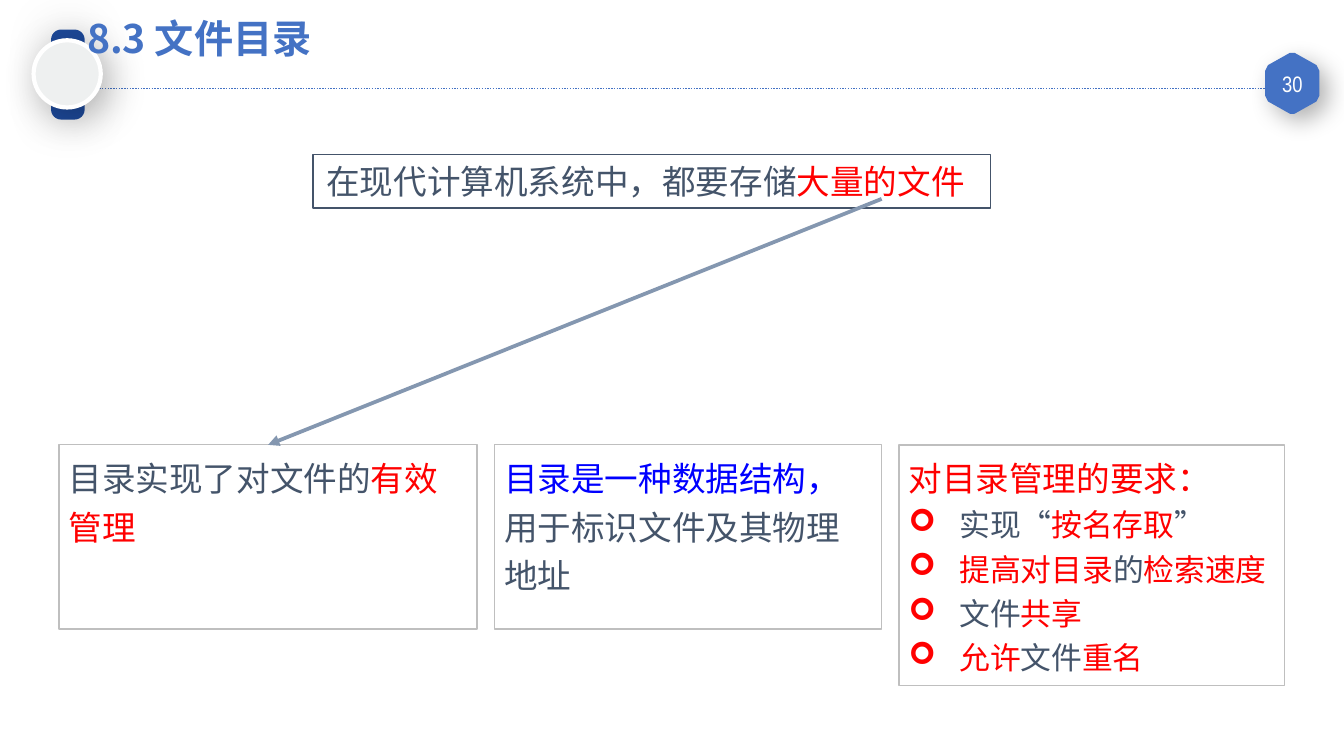
from dataclasses import dataclass
from lxml import etree
from pptx import Presentation
from pptx.dml.color import RGBColor
from pptx.enum.dml import MSO_LINE
from pptx.enum.shapes import MSO_CONNECTOR, MSO_SHAPE
from pptx.enum.text import MSO_ANCHOR, PP_ALIGN
from pptx.oxml.ns import qn
from pptx.util import Inches, Pt

RECT, ROUND, OVAL = MSO_SHAPE.RECTANGLE, MSO_SHAPE.ROUNDED_RECTANGLE, MSO_SHAPE.OVAL
STRAIGHT, DOTS = MSO_CONNECTOR.STRAIGHT, MSO_LINE.ROUND_DOT
TOP, MIDDLE = MSO_ANCHOR.TOP, MSO_ANCHOR.MIDDLE
LEFT, CENTER = PP_ALIGN.LEFT, PP_ALIGN.CENTER


@dataclass(frozen=True)
class Theme:
    blue: str = "4472C4"
    navy: str = "1D4999"
    pale: str = "EEF0F0"
    white: str = "FFFFFF"
    edge: str = "BFBFBF"
    slate: str = "44546A"
    steel: str = "8497B0"
    red: str = "FF0000"
    bright: str = "0000FF"
    font: str = "Noto Sans CJK SC"
    latin: str = "Roboto"
    narrow: str = "Arial Narrow"
    symbol: str = "Wingdings"
    title: float = 21
    body: float = 18
    item: float = 16.5
    number: float = 12


def rgb(code):
    return RGBColor.from_string(code)


class Page:
    def __init__(self, slide, theme):
        self.shapes, self.theme = slide.shapes, theme

    def paint(self, shape, fill=None, line=None, width=0.75):
        shape.shadow.inherit = False
        if fill:
            shape.fill.solid()
            shape.fill.fore_color.rgb = rgb(fill)
        else:
            shape.fill.background()
        if line:
            shape.line.color.rgb = rgb(line)
            shape.line.width = Pt(width)
        else:
            shape.line.fill.background()

    def shade(self, shape, alpha, blur, dist, angle):
        effects = shape._element.spPr.find(qn("a:effectLst"))
        outer = etree.SubElement(effects, qn("a:outerShdw"), blurRad=str(Pt(blur)),
                                 dist=str(Pt(dist)), dir=str(angle * 60000),
                                 algn="ctr", rotWithShape="0")
        color = etree.SubElement(outer, qn("a:srgbClr"), val="000000")
        etree.SubElement(color, qn("a:alpha"), val=str(alpha * 1000))

    def shape(self, kind, at, **style):
        shape = self.shapes.add_shape(kind, *map(Inches, at))
        self.paint(shape, **style)
        return shape

    def badge(self, points, **style):
        pen = self.shapes.build_freeform(*map(Inches, points[0]))
        pen.add_line_segments([tuple(map(Inches, p)) for p in points[1:]])
        shape = pen.convert_to_shape()
        self.paint(shape, **style)
        return shape

    def label(self, at):
        return self.shapes.add_textbox(*map(Inches, at))

    def line(self, start, end, color, width):
        line = self.shapes.add_connector(STRAIGHT, *map(Inches, start + end))
        line.line.color.rgb = rgb(color)
        line.line.width = Pt(width)
        etree.SubElement(line._element.spPr, qn("a:effectLst"))
        return line

    def arrow(self, start, end, box, color, width):
        line = self.line(start, end, color, width)
        line.end_connect(box, 0)
        etree.SubElement(line.line._get_or_add_ln(), qn("a:tailEnd"), type="triangle")

    def frame(self, shape, pad=(0.1, 0.05), anchor=TOP):
        frame = shape.text_frame
        frame.word_wrap = True
        frame.vertical_anchor = anchor
        frame.margin_left = frame.margin_right = Inches(pad[0])
        frame.margin_top = frame.margin_bottom = Inches(pad[1])
        return frame

    def para(self, par, runs, size, font=None, bold=False, align=LEFT,
             space=None, bullet=None):
        par.alignment = align
        if space:
            par.line_spacing = space
        props = par._p.get_or_add_pPr()
        if bullet:
            props.set("marL", str(Inches(0.38)))
            props.set("indent", str(Inches(-0.38)))
            color = etree.SubElement(props, qn("a:buClr"))
            etree.SubElement(color, qn("a:srgbClr"), val=self.theme.red)
            etree.SubElement(props, qn("a:buFont"), typeface=self.theme.symbol)
            etree.SubElement(props, qn("a:buChar"), char=bullet)
        par.font.size, par.font.bold = Pt(size), bold
        par.font.name = font or self.theme.font
        etree.SubElement(props.find(qn("a:defRPr")), qn("a:ea"),
                         typeface=self.theme.font)
        for text, color in runs:
            run = par.add_run()
            run.text = text
            run.font.color.rgb = rgb(color)

    def card(self, at, head, items=()):
        theme = self.theme
        box = self.shape(RECT, at, fill=theme.white, line=theme.edge)
        frame = self.frame(box, (0.07, 0.04))
        self.para(frame.paragraphs[0], head, theme.body, space=1.2)
        for runs in items:
            self.para(frame.add_paragraph(), runs, theme.item, space=1.2, bullet="➢")
        return box


def main():
    deck = Presentation()
    deck.slide_width = Inches(10)
    deck.slide_height = deck.slide_width * 9 // 16
    theme = Theme()
    page = Page(deck.slides.add_slide(deck.slide_layouts[6]), theme)
    slate, red = theme.slate, theme.red

    # Header rule and page number
    rule = page.line((0.33, 0.66), (9.43, 0.66), theme.blue, 0.75)
    rule.line.dash_style = DOTS
    half = [(9.63, 0.4), (9.79, 0.49), (9.81, 0.53)]
    right = half + [(x, 1.24 - y) for x, y in reversed(half)]
    left = [(19.23 - x, y) for x, y in reversed(right)]
    badge = page.badge(right + left, fill=theme.blue, line=theme.blue, width=1)
    page.shade(badge, 30, 13, 6, 45)
    number = page.frame(page.label((9.42, 0.5, 0.39, 0.25)), (0.07, 0.04), MIDDLE)
    page.para(number.paragraphs[0], [("30", theme.white)], theme.number,
              font=theme.narrow, align=CENTER)

    # Watch ornament
    strap = page.shape(ROUND, (0.38, 0.22, 0.25, 0.67), fill=theme.navy)
    strap.adjustments[0] = 0.3
    page.shade(strap, 17, 27, 0, 0)
    dial = page.shape(OVAL, (0.25, 0.3, 0.5, 0.5), fill=theme.pale,
                      line=theme.white, width=2.25)
    page.shade(dial, 28, 22, 6, 45)

    # Title
    title = page.frame(page.label((0.55, 0.06, 5.76, 0.45)))
    page.para(title.paragraphs[0], [("8.3 文件目录", theme.blue)], theme.title, bold=True)

    # Cards
    manage = page.card((0.44, 3.31, 3.11, 1.37),
                       [("目录实现了对文件的", slate), ("有效管理", red)])
    page.card((3.68, 3.31, 2.88, 1.37),
              [("目录是一种数据结构，", theme.bright), ("用于标识文件及其物理地址", slate)])
    page.card((6.69, 3.31, 2.87, 1.79), [("对目录管理的要求：", red)], [
        [("实现“", slate), ("按名存取", red), ("”", slate)],
        [("提高对目录", red), ("的", slate), ("检索速度", red)],
        [("文件", slate), ("共享", red)],
        [("允许", red), ("文件", slate), ("重名", red)],
    ])

    # Opening statement and arrow
    banner = page.shape(RECT, (2.33, 1.15, 5.04, 0.4), line=slate, width=1)
    page.para(page.frame(banner).paragraphs[0],
              [("在现代计算机系统中，都要存储", slate), ("大量的文件", red)],
              theme.body, font=theme.latin)
    page.arrow((6.56, 1.48), (2, 3.31), manage, theme.steel, 2)

    deck.save("out.pptx")


if __name__ == "__main__":
    main()
